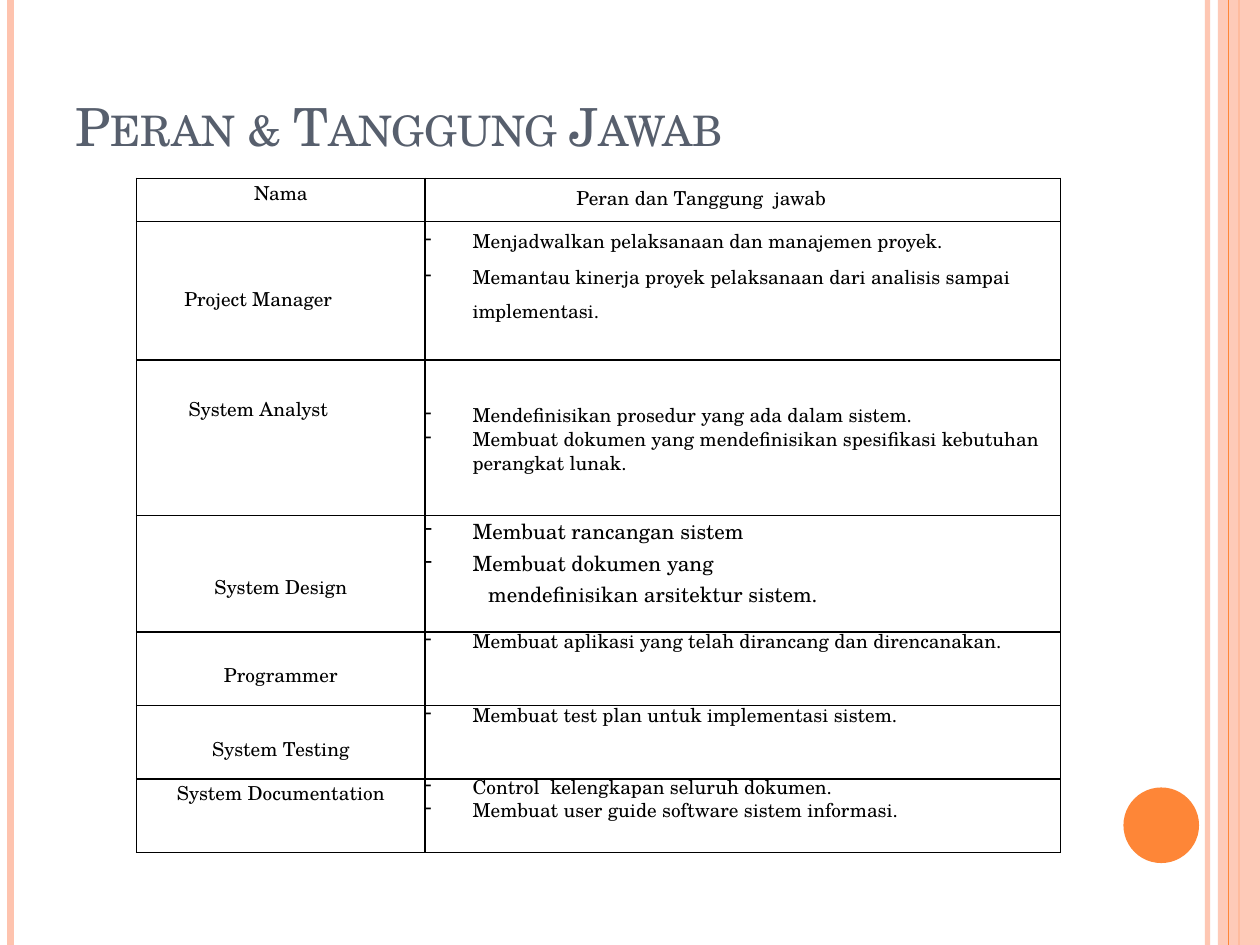
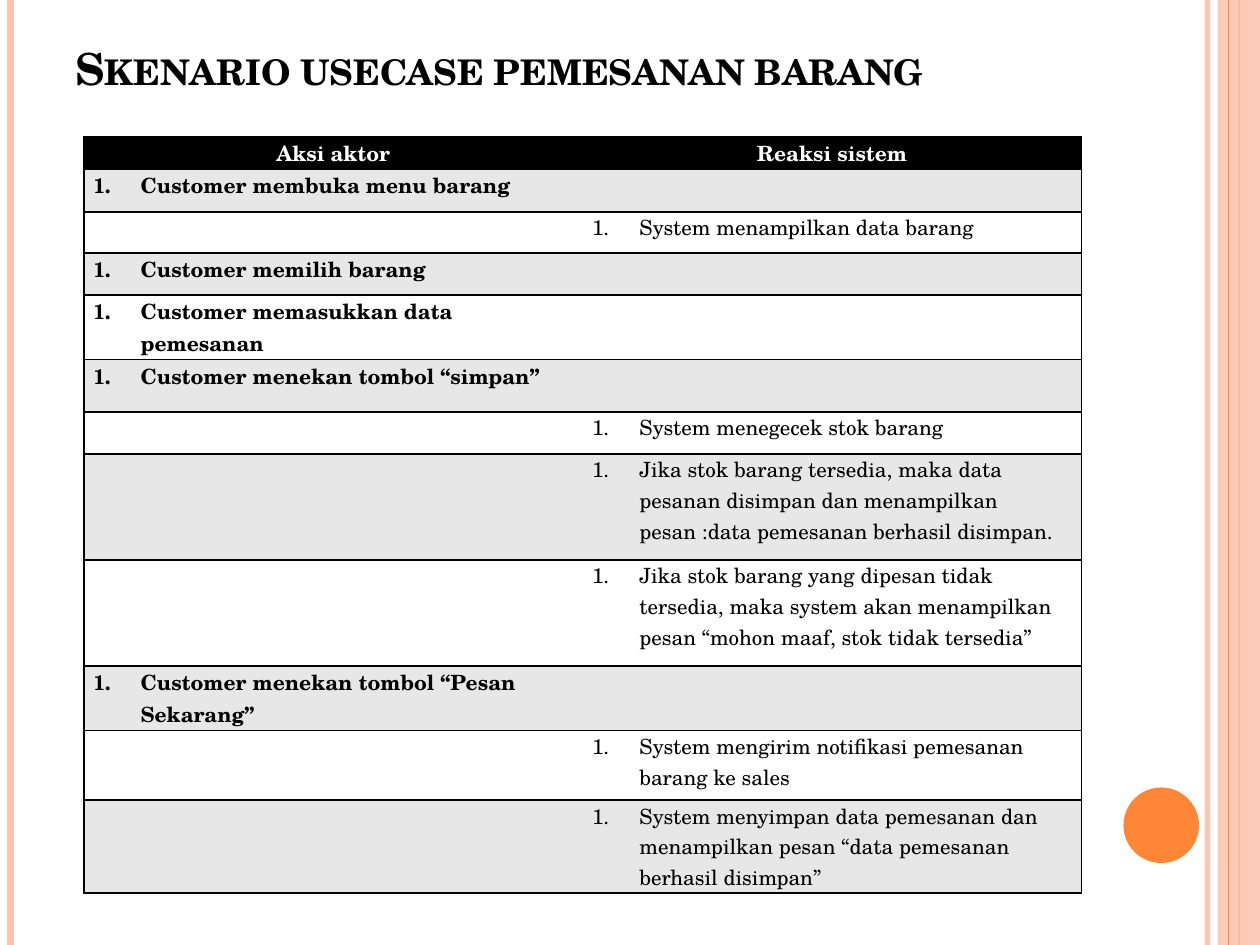
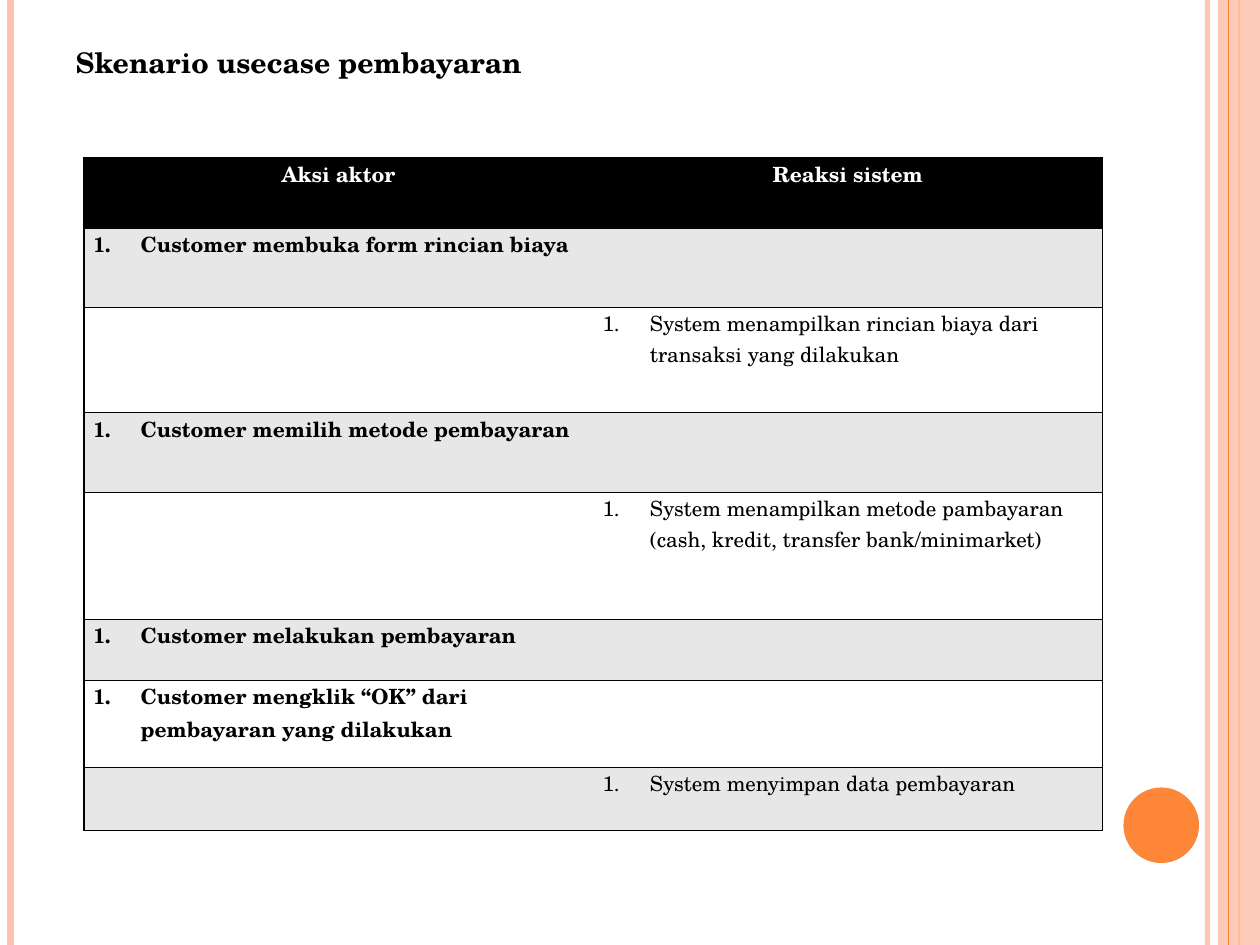
"""Build three slides: project roles and two use case scenarios."""
from dataclasses import dataclass

from lxml.etree import SubElement
from pptx import Presentation
from pptx.dml.color import RGBColor
from pptx.enum.shapes import MSO_CONNECTOR, MSO_SHAPE
from pptx.enum.text import MSO_ANCHOR, MSO_AUTO_SIZE, PP_ALIGN
from pptx.oxml.ns import qn
from pptx.util import Inches, Pt

BLACK = RGBColor(0x00, 0x00, 0x00)
WHITE = RGBColor(0xFF, 0xFF, 0xFF)
GREY = RGBColor(0xE7, 0xE7, 0xE7)
SLATE = RGBColor(0x57, 0x5F, 0x6D)
PEACH = RGBColor(0xFE, 0xC3, 0xAE)
ORANGE = RGBColor(0xFE, 0x86, 0x37)

FONT = "TeX Gyre Schola"
COLUMNS, ROWS = 120, 90
BLANK_LINE = 2.74
HANGING = 4.5
ACTOR, SYSTEM = 0, 1


@dataclass
class Line:
    """One paragraph of a table cell."""

    text: str
    size: float = 11
    bullet: str = ""
    spacing: object = None
    before: float = 0
    indent: float = 0
    centred: bool = False
    bold: bool = False
    color: RGBColor = BLACK


class Sheet:
    """Holds the shared style and the slide being drawn."""

    def __init__(self):
        self.deck = Presentation()
        self.deck.slide_width, self.deck.slide_height = Inches(10), Inches(7.5)
        self.page = None

    def across(self, columns):
        return round(self.deck.slide_width * columns / COLUMNS)

    def down(self, rows):
        return round(self.deck.slide_height * rows / ROWS)

    def start(self):
        self.page = self.deck.slides.add_slide(self.deck.slide_layouts[5])
        self.rule(115, PEACH, 3, 93)
        self.rule(1, PEACH, 4.5)
        self.rule(118, ORANGE, 1.5)
        self.shape(MSO_SHAPE.RECTANGLE, 116, 0, 4, ROWS, PEACH, 87)
        self.rule(117, ORANGE, 0.75)
        self.shape(MSO_SHAPE.OVAL, 107, 75, 7.2, 7.2, ORANGE)

    def fade(self, element, percent):
        for color in element.iter(qn("a:srgbClr")):
            SubElement(color, qn("a:alpha"), val=str(percent * 1000))

    def rule(self, column, color, width, opacity=100):
        x = self.across(column)
        rule = self.page.shapes.add_connector(
            MSO_CONNECTOR.STRAIGHT, x, 0, x, self.down(ROWS))
        rule.line.color.rgb = color
        rule.line.width = Pt(width)
        properties = rule._element.spPr
        if opacity < 100:
            self.fade(properties, opacity)
        SubElement(properties, qn("a:effectLst"))

    def shape(self, kind, left, top, width, height, color, opacity=100):
        shape = self.page.shapes.add_shape(
            kind, self.across(left), self.down(top),
            self.across(width), self.down(height))
        shape.shadow.inherit = False
        shape.fill.solid()
        shape.fill.fore_color.rgb = color
        shape.line.fill.background()
        if opacity < 100:
            self.fade(shape._element.spPr, opacity)

    def title(self, text, size, height, color=BLACK, bold=True, caps=True, lift=0):
        box = self.page.shapes.title
        box.left, box.top = self.across(6), self.down(3.6)
        box.width, box.height = self.across(98), self.down(height)
        frame = box.text_frame
        frame.auto_size = MSO_AUTO_SIZE.NONE
        frame.word_wrap = True
        frame.vertical_anchor = MSO_ANCHOR.BOTTOM
        frame.margin_left = frame.margin_right = self.across(1.2)
        frame.margin_top, frame.margin_bottom = 0, self.down(lift)
        para = frame.paragraphs[0]
        para.alignment = PP_ALIGN.LEFT
        span = self.span(para, text, size, color, bold)
        if caps:
            span.font._element.set("cap", "small")

    def span(self, para, text, size, color, bold):
        span = para.add_run()
        span.text = text
        span.font.name, span.font.size = FONT, Pt(size)
        span.font.color.rgb, span.font.bold = color, bold
        return span

    def table(self, left, top, widths, heights):
        frame = self.page.shapes.add_table(
            len(heights), len(widths), self.across(left), self.down(top),
            self.across(sum(widths)), self.down(sum(heights)))
        table = frame.table
        table.first_row = table.horz_banding = False
        for column, width in zip(table.columns, widths):
            column.width = self.across(width)
        for row, height in zip(table.rows, heights):
            row.height = self.down(height)
        return table

    def cell(self, cell, lines, edges="LRTB", fill=None, side=0, top=0, right=0):
        cell.margin_left, cell.margin_right = self.across(side), self.across(side + right)
        cell.margin_top, cell.margin_bottom = self.down(top), 0
        properties = cell._tc.get_or_add_tcPr()
        for edge in "LRTB":
            border = SubElement(properties, qn("a:ln" + edge), w=str(Pt(1)))
            if edge in edges:
                paint = SubElement(border, qn("a:solidFill"))
                SubElement(paint, qn("a:srgbClr"), val=str(BLACK))
            else:
                SubElement(border, qn("a:noFill"))
        if fill is None:
            cell.fill.background()
        else:
            cell.fill.solid()
            cell.fill.fore_color.rgb = fill
        frame = cell.text_frame
        if not lines:
            SubElement(frame.paragraphs[0]._p, qn("a:endParaRPr"), sz="1200")
        for index, line in enumerate(lines):
            para = frame.add_paragraph() if index else frame.paragraphs[0]
            self.line(para, line)

    def line(self, para, line):
        para.alignment = PP_ALIGN.CENTER if line.centred else PP_ALIGN.LEFT
        if line.spacing:
            para.line_spacing = line.spacing
        if line.before:
            para.space_before = Pt(line.before)
        properties = para._p.get_or_add_pPr()
        indent = HANGING if line.bullet else line.indent
        properties.set("marL", str(self.across(indent)))
        properties.set("indent", str(-self.across(indent) if line.bullet else 0))
        if line.bullet == "1.":
            SubElement(properties, qn("a:buAutoNum"), type="arabicPeriod")
        elif line.bullet:
            SubElement(properties, qn("a:buChar"), char=line.bullet)
        self.span(para, line.text, line.size, line.color, line.bold)

    def scenario(self, top, width, header_height, steps):
        heights = [header_height] + [height for height, _, _ in steps]
        table = self.table(8, top, [width, width], heights)
        edges = ("LTB", "RTB")
        for column, name in enumerate(("Aksi aktor", "Reaksi sistem")):
            heading = Line(name, 12, centred=True, bold=True, color=WHITE)
            self.cell(table.cell(0, column), [heading], edges[column], BLACK, 0.9)
        for row, (_, who, text) in enumerate(steps, 1):
            step = Line(text, 12, bullet="1.", bold=who == ACTOR)
            for column in (ACTOR, SYSTEM):
                self.cell(table.cell(row, column), [step] if column == who else [],
                          edges[column], GREY if row % 2 else WHITE, 0.9)


def item(text, spacing=None, before=0, size=11):
    """Return a dashed line."""
    return Line(text, size, "-", spacing, before)


ROLES = [
    (4.1, "Nama", None, 0, 0, 0,
     [Line("Peran dan Tanggung  jawab", spacing=1.2, indent=1.3, centred=True)]),
    (13.2, "Project Manager", 1.2, 2, 4.3, 0,
     [item("Menjadwalkan pelaksanaan dan manajemen proyek.", 1.2),
      item("Memantau kinerja proyek pelaksanaan dari analisis sampai implementasi.",
           1.2, 0.6)]),
    (14.8, "System Analyst", 1.2, 1, 4.3, 1.22,
     [item("Mendefinisikan prosedur yang ada dalam sistem.", 1.2),
      item("Membuat dokumen yang mendefinisikan spesifikasi kebutuhan perangkat lunak.",
           Pt(13.7))]),
    (11.1, "System Design", None, 2, 0, 0,
     [item("Membuat rancangan sistem", size=12),
      item("Membuat dokumen yang", before=0.7, size=12),
      Line("mendefinisikan arsitektur sistem.", 12, indent=6)]),
    (7, "Programmer", None, 1, 0, 0,
     [item("Membuat aplikasi yang telah dirancang dan direncanakan.", Pt(13.3))]),
    (7, "System Testing", None, 1, 0, 0,
     [item("Membuat test plan untuk implementasi sistem.", Pt(13.3))]),
    (7, "System Documentation", None, 0, 0, 0,
     [item("Control  kelengkapan seluruh dokumen.", Pt(12.7)),
      item("Membuat user guide software sistem informasi.", Pt(13.3))]),
]

ORDERING = [
    (4.1, ACTOR, "Customer membuka menu barang"),
    (3.9, SYSTEM, "System menampilkan data barang"),
    (4, ACTOR, "Customer memilih barang"),
    (5, ACTOR, "Customer memasukkan data pemesanan"),
    (5, ACTOR, "Customer menekan tombol “simpan”"),
    (4, SYSTEM, "System menegecek stok barang"),
    (10.1, SYSTEM, "Jika stok barang tersedia, maka data pesanan disimpan dan "
                   "menampilkan pesan :data pemesanan berhasil disimpan."),
    (10.1, SYSTEM, "Jika stok barang yang dipesan tidak tersedia, maka system akan "
                   "menampilkan pesan “mohon maaf, stok tidak tersedia”"),
    (5.3, ACTOR, "Customer menekan tombol “Pesan Sekarang”"),
    (6.6, SYSTEM, "System mengirim notifikasi pemesanan barang ke sales"),
    (8, SYSTEM, "System menyimpan data pemesanan dan menampilkan pesan "
                "“data pemesanan berhasil disimpan”"),
]

PAYMENT = [
    (7.6, ACTOR, "Customer membuka form rincian biaya"),
    (10, SYSTEM, "System menampilkan rincian biaya dari transaksi yang dilakukan"),
    (7.6, ACTOR, "Customer memilih metode pembayaran"),
    (12.1, SYSTEM, "System menampilkan metode pambayaran "
                   "(cash, kredit, transfer bank/minimarket)"),
    (5.8, ACTOR, "Customer melakukan pembayaran"),
    (8.3, ACTOR, "Customer mengklik “OK” dari pembayaran yang dilakukan"),
    (6, SYSTEM, "System menyimpan data pembayaran"),
]

sheet = Sheet()

sheet.start()
sheet.title("Peran & Tanggung Jawab", 30, 11.4, SLATE, bold=False)
roles = sheet.table(13, 17, [27.5, 60.5], [role[0] for role in ROLES])
for row, (_, name, spacing, blanks, right, duty_blanks, duties) in enumerate(ROLES):
    sheet.cell(roles.cell(row, 0), [Line(name, spacing=spacing, centred=True)],
               top=blanks * BLANK_LINE, right=right)
    sheet.cell(roles.cell(row, 1), duties, top=duty_blanks * BLANK_LINE,
               right=0 if row else 9.2)

sheet.start()
sheet.title("Skenario usecase pemesanan barang", 25.2, 5.4)
sheet.scenario(13, 47.5, 2.6, ORDERING)

sheet.start()
sheet.title("Skenario usecase pembayaran", 16.2, 7.4, caps=False, lift=3.5)
sheet.scenario(15, 48.5, 6.7, PAYMENT)

sheet.deck.save("out.pptx")
